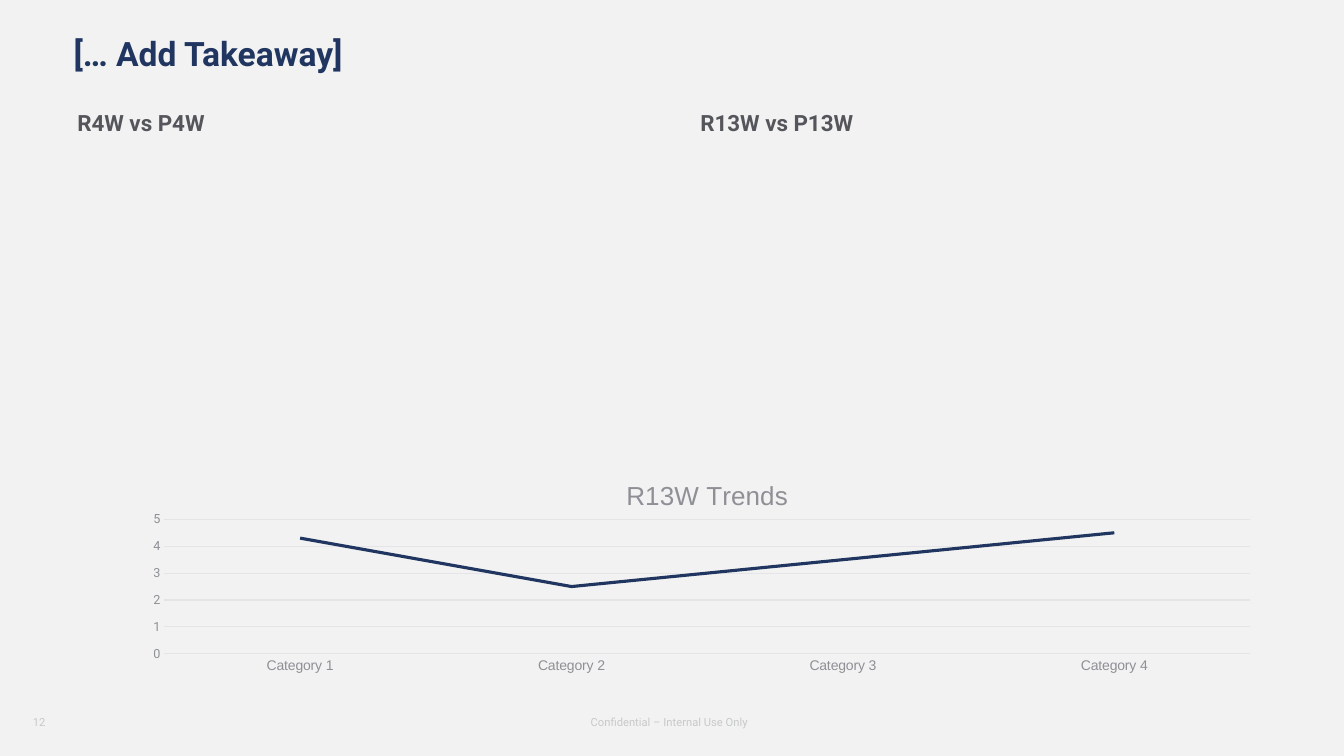
"""Build the weekly comparison slide with its trend chart."""
from lxml.etree import SubElement
from pptx import Presentation
from pptx.chart.data import CategoryChartData
from pptx.dml.color import RGBColor
from pptx.enum.chart import XL_CHART_TYPE, XL_TICK_MARK
from pptx.enum.text import MSO_ANCHOR, PP_ALIGN
from pptx.oxml.ns import qn
from pptx.util import Cm, Pt

NAVY, SLATE, GREY, PALE, RULE = "203661", "54565B", "8E9096", "C6CAC6", "E5E5E7"
TAKEAWAY = "[… Add Takeaway]"
HEADINGS = [("R4W vs P4W", 1.7), ("R13W vs P13W", 17.4)]
FOOTERS = [
    ("Confidential –\u00a0Internal Use Only".replace("\u00a0", " "), 13.06, PP_ALIGN.CENTER),
    ("12", 0.58, PP_ALIGN.LEFT),
][:2]
TREND_TITLE = "R13W Trends"
CATEGORIES = ["Category 1", "Category 2", "Category 3", "Category 4"]
TRENDS = [
    ("Series 1", [4.3, 2.5, 3.5, 4.5], NAVY),
    ("Series 2", [None] * 4, "3C587F"),
    ("Series 3", [None] * 4, "8DC1C5"),
]


def rgb(value):
    return RGBColor.from_string(value)


def style(font, size, color, name="Roboto", bold=False):
    font.size, font.name, font.bold = Pt(size), name, bold
    font.color.rgb = rgb(color)


def write(frame, text, size, color, bold=False, anchor=MSO_ANCHOR.TOP, align=PP_ALIGN.LEFT):
    frame.text = text
    frame.word_wrap = True
    frame.vertical_anchor = anchor
    paragraph = frame.paragraphs[0]
    paragraph.alignment = align
    style(paragraph.runs[0].font, size, color, bold=bold)


def place(parent, index, **settings):
    for old_layout in parent.findall(qn("c:layout")):
        parent.remove(old_layout)
    layout = SubElement(parent, qn("c:layout"))
    parent.insert(index, layout)
    manual = SubElement(layout, qn("c:manualLayout"))
    for tag, value in settings.items():
        SubElement(manual, qn(f"c:{tag}")).set("val", str(value))


def add_trend_chart(slide):
    chart_data = CategoryChartData()
    chart_data.categories = CATEGORIES
    for name, values, _ in TRENDS:
        chart_data.add_series(name, values)
    chart = slide.shapes.add_chart(
        XL_CHART_TYPE.LINE, Cm(3.28), Cm(11.53), Cm(28.8), Cm(5.56), chart_data
    ).chart
    style(chart.font, 10, SLATE, "Arial")
    chart.has_legend = False

    chart.has_title = True
    title_frame = chart.chart_title.text_frame
    title_frame.text = TREND_TITLE
    style(title_frame.paragraphs[0].runs[0].font, 18.6, GREY, "Arial")
    title = chart._chartSpace.chart.find(qn("c:title"))
    place(title, 1, xMode="edge", yMode="edge", x=0.43, y=0.07)
    plot_area = chart._chartSpace.chart.plotArea
    place(plot_area, 0, layoutTarget="inner", xMode="edge", yMode="edge", x=0.03, y=0.28, w=0.95, h=0.61)

    plot = chart.plots[0]
    plot.vary_by_categories = False
    for series, (_, _, color) in zip(plot.series, TRENDS):
        series.smooth = False
        series.format.line.color.rgb = rgb(color)
        series.format.line.width = Pt(2.25)

    category_axis, value_axis = chart.category_axis, chart.value_axis
    for axis, size, name in [(category_axis, 10, "Arial"), (value_axis, 9, "Roboto")]:
        axis.major_tick_mark = axis.minor_tick_mark = XL_TICK_MARK.NONE
        style(axis.tick_labels.font, size, GREY, name)
    value_axis.minimum_scale, value_axis.maximum_scale, value_axis.major_unit = 0, 5, 1
    value_axis.has_major_gridlines = True
    value_axis.format.line.fill.background()
    for line in (category_axis.format.line, value_axis.major_gridlines.format.line):
        line.color.rgb = rgb(RULE)
        line.width = Pt(0.75)


def main():
    deck = Presentation()
    deck.slide_width, deck.slide_height = Cm(33.87), Cm(19.05)
    slide = deck.slides.add_slide(deck.slide_layouts[5])
    slide.background.fill.solid()
    slide.background.fill.fore_color.rgb = rgb("F2F2F2")

    takeaway = slide.shapes.title
    takeaway.left, takeaway.top, takeaway.width, takeaway.height = Cm(1.6), Cm(0.28), Cm(30.48), Cm(1.7)
    write(takeaway.text_frame, TAKEAWAY, 24, NAVY, bold=True, anchor=MSO_ANCHOR.BOTTOM)

    for heading, left in HEADINGS:
        box = slide.shapes.add_textbox(Cm(left), Cm(2.62), Cm(13.75), Cm(1.55))
        write(box.text_frame, heading, 16, SLATE, bold=True)
    add_trend_chart(slide)
    for footer, left, align in FOOTERS:
        box = slide.shapes.add_textbox(Cm(left), Cm(17.78), Cm(7.62), Cm(0.81))
        write(box.text_frame, footer, 8, PALE, anchor=MSO_ANCHOR.MIDDLE, align=align)
    deck.save("out.pptx")


if __name__ == "__main__":
    main()
